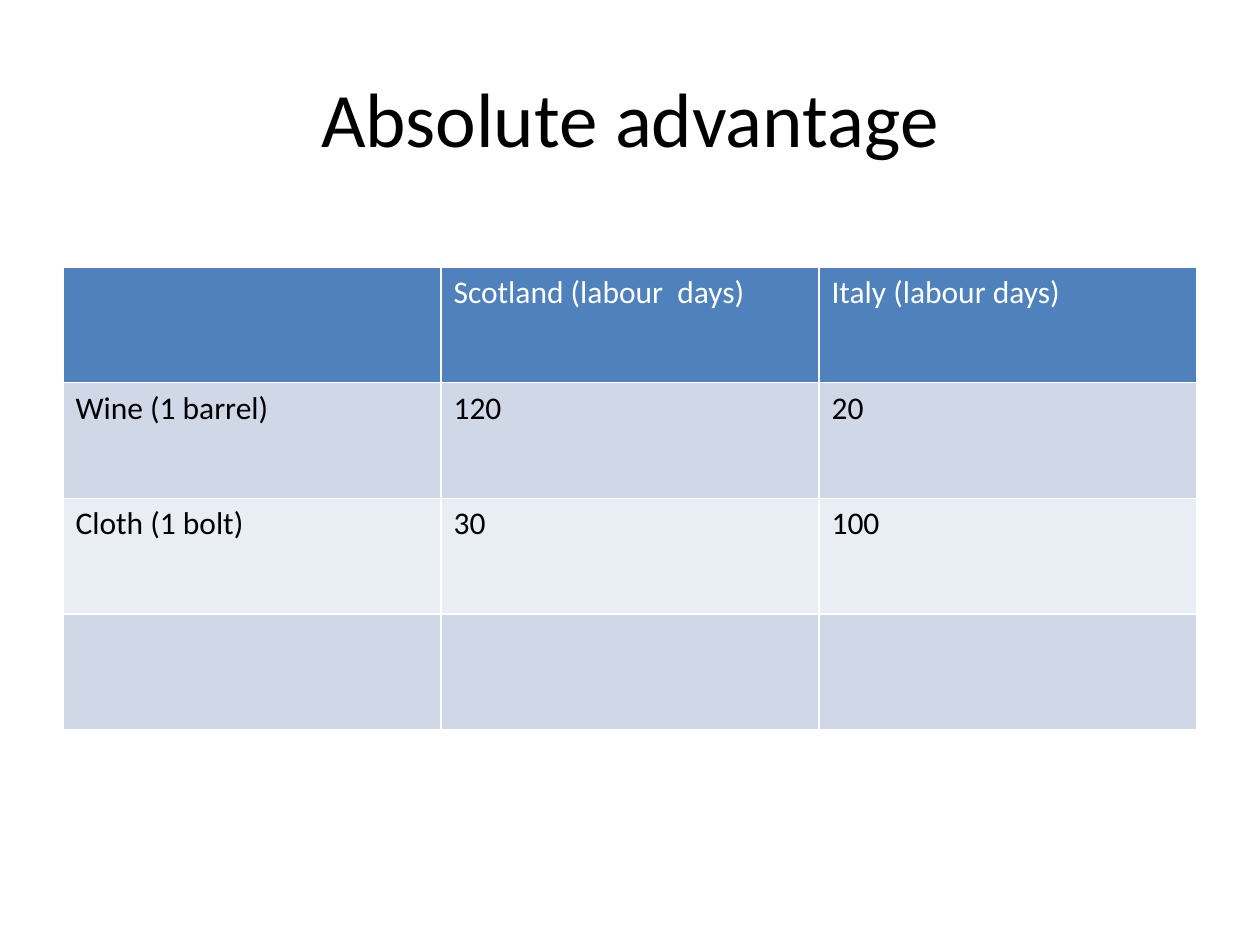
from dataclasses import dataclass

from pptx import Presentation
from pptx import util as u
from pptx.dml import color
from pptx.enum import text

FONT = "Calibri"
BLACK, WHITE = "000000", "FFFFFF"


@dataclass
class TableRow:
    labels: tuple[str, str, str]
    fill: str
    font_color: str = BLACK


ROWS = [
    TableRow(("", "Scotland (labour  days)", "Italy (labour days)"), "4F81BD", WHITE),
    TableRow(("Wine (1 barrel)", "120", "20"), "D0D8E8"),
    TableRow(("Cloth (1 bolt)", "30", "100"), "E9EDF4"),
    TableRow(("", "", ""), "D0D8E8"),
]


def rgb(value: str) -> color.RGBColor:
    return color.RGBColor.from_string(value)


def write_text(frame, content: str, *, size: float, font_color: str = BLACK,
               align=text.PP_ALIGN.LEFT, anchor=text.MSO_ANCHOR.TOP) -> None:
    frame.vertical_anchor = anchor
    paragraph = frame.paragraphs[0]
    paragraph.alignment = align
    run = paragraph.add_run()
    run.text = content
    run.font.name = FONT
    run.font.size = u.Pt(size)
    run.font.bold = False
    run.font.color.rgb = rgb(font_color)


def add_title(slide, content: str) -> None:
    title = slide.shapes.title
    title.left, title.top = u.Inches(0.5), u.Inches(0.3)
    title.width, title.height = u.Inches(9), u.Inches(1.25)
    write_text(title.text_frame, content, size=44,
               align=text.PP_ALIGN.CENTER, anchor=text.MSO_ANCHOR.MIDDLE)


def add_labour_table(slide, rows: list[TableRow]) -> None:
    # The default table style supplies the white rules between cells
    shape = slide.shapes.add_table(
        len(rows), len(rows[0].labels),
        u.Inches(0.5), u.Inches(2.12), u.Inches(9), u.Inches(3.67))
    for table_row, row in zip(shape.table.rows, rows):
        for cell, label in zip(table_row.cells, row.labels):
            cell.fill.solid()
            cell.fill.fore_color.rgb = rgb(row.fill)
            if label:
                write_text(cell.text_frame, label, size=18, font_color=row.font_color)


def main() -> None:
    presentation = Presentation()
    presentation.slide_width, presentation.slide_height = u.Inches(10), u.Inches(7.5)

    # Title Only layout
    slide = presentation.slides.add_slide(presentation.slide_layouts[5])
    add_title(slide, "Absolute advantage")
    add_labour_table(slide, ROWS)

    presentation.save("out.pptx")


if __name__ == "__main__":
    main()
